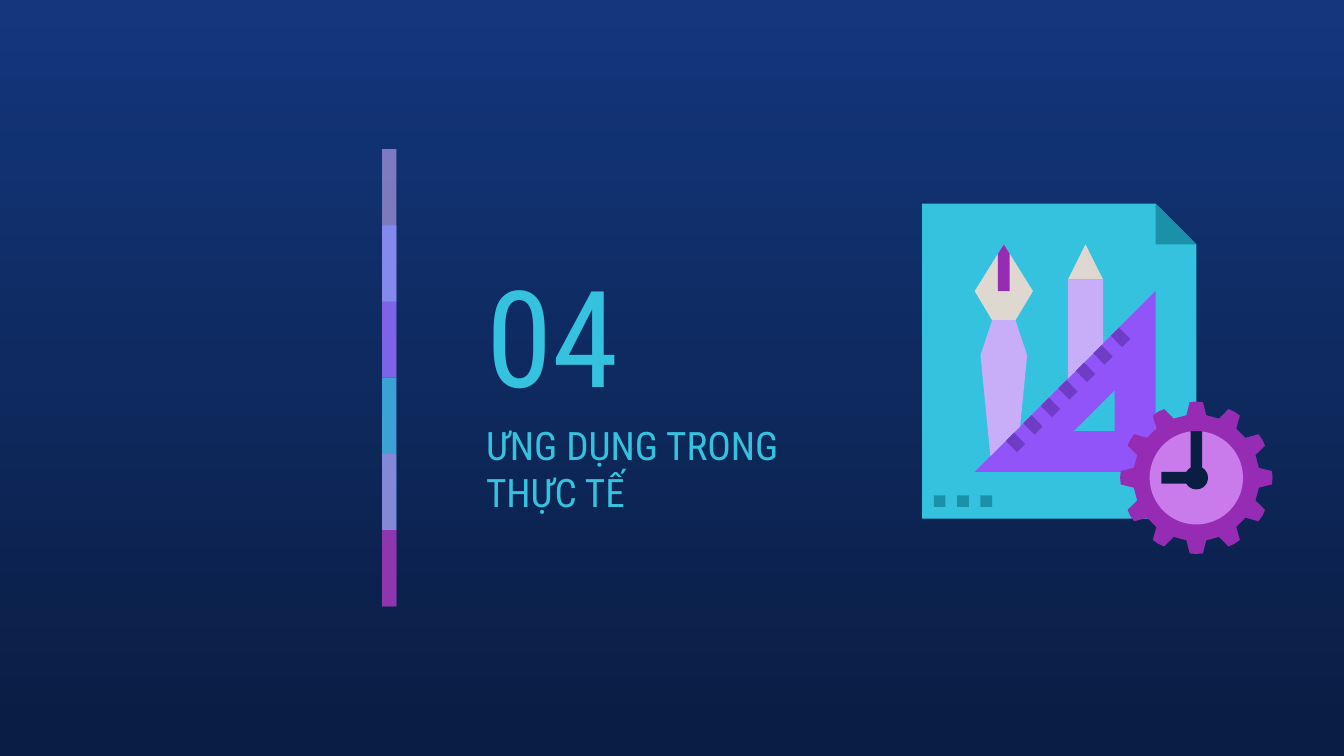
from dataclasses import dataclass
from math import cos, radians, sin

from lxml import etree
from pptx import Presentation
from pptx.dml.color import RGBColor
from pptx.enum.shapes import MSO_SHAPE
from pptx.enum.text import MSO_ANCHOR, MSO_AUTO_SIZE, PP_ALIGN
from pptx.oxml.ns import qn
from pptx.util import Cm, Pt

RECTANGLE, OVAL = MSO_SHAPE.RECTANGLE, MSO_SHAPE.OVAL
MIDDLE, LEFT, NO_FIT = MSO_ANCHOR.MIDDLE, PP_ALIGN.LEFT, MSO_AUTO_SIZE.NONE


@dataclass(frozen=True)
class Theme:
    font: str = "Roboto Condensed"
    number_size: int = 96
    title_size: int = 28
    sky: str = "13367C"
    navy: str = "0A1D42"
    cyan: str = "35C2DF"
    teal: str = "1B91A9"
    violet: str = "9154F8"
    deep_violet: str = "6F3CC6"
    lilac: str = "C8AEF8"
    periwinkle: str = "878FFF"
    purple: str = "972CB4"
    orchid: str = "CA7BEB"
    sand: str = "DED8D0"


THEME = Theme()

# Content
SECTION_NUMBER = "04"
SECTION_TITLE = "ƯNG DỤNG TRONG THỰC TẾ"

# Colour strip: colour and opacity in percent, top to bottom
STRIP = [
    (THEME.lilac, 59), (THEME.periwinkle, 74), (THEME.violet, 53),
    (THEME.cyan, 76), (THEME.orchid, 56), (THEME.purple, 74),
]
STRIP_LEFT, STRIP_TOP, STRIP_WIDTH, STRIP_STEP = Cm(9.63), Cm(3.76), Cm(0.36), Cm(1.92)

# Icon outlines, in grid units from the corner of the paper
ICON_LEFT, ICON_TOP = Cm(23.24), Cm(5.13)
UNIT = Cm(6.91) / 23.5  # the paper is 23.5 units wide
FINE = 100  # freeform steps in one unit

PAPER = [(0, 0), (0, 27), (23.5, 27), (23.5, 3.5), (20, 0)]
FOLD = [(20, 0), (20, 3.5), (23.5, 3.5)]
SET_SQUARE_HOLE = [(16.5, 16), (16.5, 19.5), (13, 19.5)]
SET_SQUARE = [(20, 7.5), (4.5, 23), (20, 23)]
PENCIL_TIP = [(14, 3.5), (12.5, 6.5), (15.5, 6.5)]
PENCIL_BODY = [(12.5, 6.5), (12.5, 15), (15.5, 12), (15.5, 6.5)]
NIB = [(7, 3.5), (4.5, 7.5), (6, 10), (8, 10), (9.5, 7.5)]
PEN_HANDLE = [(6, 10), (5, 13), (5.85, 21.65), (8.4, 19.1), (9, 13), (8, 10)]
NIB_SLIT = [(7, 3.5), (6.5, 4.3), (6.5, 7.5), (7.5, 7.5), (7.5, 4.3)]
CLOCK_HANDS = [(23, 19.5), (23, 23), (20.5, 23), (20.5, 24), (24, 24), (24, 19.5)]
TICK = [(7.87, 19.63), (7.17, 20.33), (8.13, 21.3), (8.83, 20.6)]
TICK_COUNT, TICK_STEP = 7, 1.5
DOT_COLUMNS, DOT_ROW = (1, 3, 5), 25

CLOCK_CENTER = 23.5  # same across and down
FACE_RADIUS, HUB_RADIUS = 4, 1
TOOTH_COUNT = 12
TOOTH = [(-9, 5.43), (-5, 6.5), (0, 6.53), (5, 6.5), (9, 5.43)]  # degrees, radius


def paint(shape, color, opacity=100):
    shape.shadow.inherit = False
    shape.fill.solid()
    shape.fill.fore_color.rgb = RGBColor.from_string(color)
    shape.line.fill.background()
    if opacity < 100:
        color_element = shape.element.xpath(".//a:srgbClr")[0]
        etree.SubElement(color_element, qn("a:alpha")).set("val", str(opacity * 1000))


def add_outline(group, color, *contours):
    """Draw one freeform from closed contours given in grid units."""
    fine = [[(x * FINE, y * FINE) for x, y in contour] for contour in contours]
    builder = group.shapes.build_freeform(*fine[0][0], scale=UNIT / FINE)
    for index, points in enumerate(fine):
        if index:
            builder.move_to(*points[0])
        builder.add_line_segments(points[1:], close=True)
    paint(builder.convert_to_shape(ICON_LEFT, ICON_TOP), color)


def add_preset(group, kind, color, x, y, size):
    left, top = ICON_LEFT + round(x * UNIT), ICON_TOP + round(y * UNIT)
    side = round(size * UNIT)
    paint(group.shapes.add_shape(kind, left, top, side, side), color)


def add_disc(group, color, radius):
    corner = CLOCK_CENTER - radius
    add_preset(group, OVAL, color, corner, corner, 2 * radius)


def gear_points():
    points = []
    for tooth in range(TOOTH_COUNT):
        for offset, radius in TOOTH:
            angle = radians(tooth * 360 / TOOTH_COUNT + offset)
            points.append((CLOCK_CENTER + radius * sin(angle),
                           CLOCK_CENTER - radius * cos(angle)))
    return points


def fill_placeholder(placeholder, text, size, left, top, width, height):
    placeholder.left, placeholder.top = left, top
    placeholder.width, placeholder.height = width, height
    frame = placeholder.text_frame
    frame.text = text
    frame.word_wrap, frame.auto_size = True, NO_FIT
    frame.vertical_anchor = MIDDLE
    frame.margin_left = frame.margin_right = Cm(0.34)
    frame.margin_top = frame.margin_bottom = Cm(0.34)
    paragraph = frame.paragraphs[0]
    paragraph.alignment = LEFT
    paragraph.space_before = Pt(0)
    font = paragraph.runs[0].font
    font.name, font.size, font.bold = THEME.font, Pt(size), False
    font.color.rgb = RGBColor.from_string(THEME.cyan)


def add_strip(slide):
    group = slide.shapes.add_group_shape()
    for index, (color, opacity) in enumerate(STRIP):
        # each bar runs on behind the next one; the last has none to meet
        steps = min(2, len(STRIP) - index)
        bar = group.shapes.add_shape(RECTANGLE, STRIP_LEFT, STRIP_TOP + index * STRIP_STEP,
                                     STRIP_WIDTH, steps * STRIP_STEP)
        paint(bar, color, opacity)


def add_icon(slide):
    group = slide.shapes.add_group_shape()
    # Paper, set square and tools
    for color, *contours in [
        (THEME.cyan, PAPER),
        (THEME.teal, FOLD),
        (THEME.violet, SET_SQUARE_HOLE, SET_SQUARE),
        (THEME.purple, gear_points()),
        (THEME.sand, PENCIL_TIP),
        (THEME.lilac, PENCIL_BODY),
        (THEME.sand, NIB),
        (THEME.lilac, PEN_HANDLE),
        (THEME.purple, NIB_SLIT),
    ]:
        add_outline(group, color, *contours)
    # Clock
    add_disc(group, THEME.orchid, FACE_RADIUS)
    add_outline(group, THEME.navy, CLOCK_HANDS)
    add_disc(group, THEME.navy, HUB_RADIUS)
    # Ruler ticks and page dots
    for index in range(TICK_COUNT):
        shift = index * TICK_STEP
        add_outline(group, THEME.deep_violet, [(x + shift, y - shift) for x, y in TICK])
    for column in DOT_COLUMNS:
        add_preset(group, RECTANGLE, THEME.teal, column, DOT_ROW, 1)


def main():
    presentation = Presentation()
    presentation.slide_width, presentation.slide_height = Cm(33.87), Cm(19.05)
    slide = presentation.slides.add_slide(presentation.slide_layouts[2])

    # Background
    background = slide.background.fill
    background.gradient()
    background.gradient_angle = 270
    for stop, color in zip(background.gradient_stops, (THEME.sky, THEME.navy)):
        stop.color.rgb = RGBColor.from_string(color)

    # Section number and title
    fill_placeholder(slide.shapes.title, SECTION_NUMBER, THEME.number_size,
                     Cm(11.91), Cm(6.12), Cm(5.92), Cm(4.57))
    fill_placeholder(slide.placeholders[1], SECTION_TITLE, THEME.title_size,
                     Cm(11.91), Cm(10.67), Cm(9.7), Cm(2.26))

    add_strip(slide)
    add_icon(slide)
    presentation.save("out.pptx")


if __name__ == "__main__":
    main()
